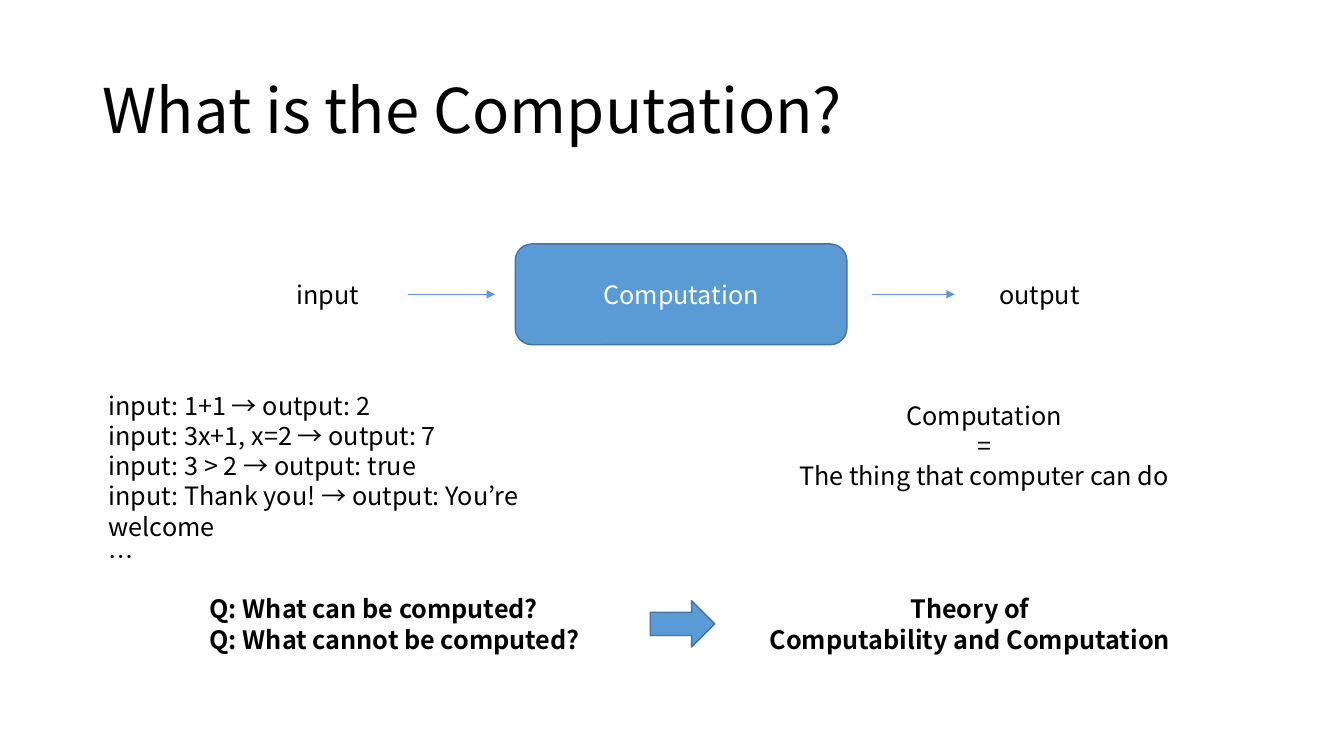
from lxml import etree
from pptx import Presentation
from pptx.dml.color import RGBColor
from pptx.enum.shapes import MSO_CONNECTOR, MSO_SHAPE
from pptx.enum.text import MSO_ANCHOR, PP_ALIGN
from pptx.oxml.ns import qn
from pptx.util import Inches, Pt

BLACK = RGBColor(0x00, 0x00, 0x00)
WHITE = RGBColor(0xFF, 0xFF, 0xFF)
BLUE = RGBColor(0x5B, 0x9B, 0xD5)
DARK_BLUE = RGBColor(0x43, 0x73, 0x9E)
FONT = "Noto Sans CJK KR"
LEFT, CENTER = PP_ALIGN.LEFT, PP_ALIGN.CENTER
TOP, MIDDLE = MSO_ANCHOR.TOP, MSO_ANCHOR.MIDDLE


def write(shape, lines, size=18, color=BLACK, bold=False, align=LEFT, anchor=TOP, spacing=1.0):
    frame = shape.text_frame
    frame.word_wrap = True
    frame.vertical_anchor = anchor
    for index, line in enumerate(lines):
        para = frame.paragraphs[0] if index == 0 else frame.add_paragraph()
        para.alignment = align
        para.line_spacing = spacing
        span = para.add_run()
        span.text = line
        span.font.name = FONT
        span.font.size = Pt(size)
        span.font.bold = bold
        span.font.color.rgb = color
        east_asian = etree.SubElement(span.font._element, qn("a:ea"))
        east_asian.set("typeface", FONT)


deck = Presentation()
deck.slide_width, deck.slide_height = Inches(13.33), Inches(7.5)
page = deck.slides.add_slide(deck.slide_layouts[5])

# Title
title = page.shapes.title
title.left, title.top = Inches(0.92), Inches(0.4)
title.width, title.height = Inches(11.5), Inches(1.45)
write(title, ["What is the Computation?"], size=44, anchor=MIDDLE, spacing=0.9)

# Computation box and block arrow
blocks = [
    (MSO_SHAPE.ROUNDED_RECTANGLE, 5.11, 2.42, 3.29, 1, "Computation"),
    (MSO_SHAPE.RIGHT_ARROW, 6.45, 5.96, 0.64, 0.46, None),
]
for kind, left, top, width, height, label in blocks:
    block = page.shapes.add_shape(kind, Inches(left), Inches(top), Inches(width), Inches(height))
    block.shadow.inherit = False
    block.fill.solid()
    block.fill.fore_color.rgb = BLUE
    block.line.color.rgb = DARK_BLUE
    block.line.width = Pt(1)
    if label:
        write(block, [label], color=WHITE, align=CENTER, anchor=MIDDLE)

# Arrows into and out of the computation
for start, end in [(4.05, 4.91), (8.65, 9.47)]:
    arrow = page.shapes.add_connector(
        MSO_CONNECTOR.STRAIGHT, Inches(start), Inches(2.92), Inches(end), Inches(2.92))
    arrow.line.color.rgb = BLUE
    arrow.line.width = Pt(0.5)
    etree.SubElement(arrow.line._get_or_add_ln(), qn("a:tailEnd")).set("type", "triangle")
    etree.SubElement(arrow._element.spPr, qn("a:effectLst"))

# Labels, examples, definition, questions and theory
texts = [
    (2.52, 2.72, 1.46, 0.4, CENTER, False, ["input"]),
    (9.62, 2.72, 1.38, 0.4, CENTER, False, ["output"]),
    (0.98, 3.82, 5.31, 1.62, LEFT, False, [
        "input: 1+1 → output: 2",
        "input: 3x+1, x=2 → output: 7",
        "input: 3 > 2 → output: true",
        "input: Thank you! → output: You’re welcome",
        "…",
    ]),
    (7.52, 3.92, 4.48, 1.01, CENTER, False,
     ["Computation", "=", "The thing that computer can do"]),
    (1.98, 5.84, 4.48, 0.71, LEFT, True,
     ["Q: What can be computed?", "Q: What cannot be computed?"]),
    (7.38, 5.84, 4.48, 0.71, CENTER, True,
     ["Theory of", "Computability and Computation"]),
]
for left, top, width, height, align, bold, lines in texts:
    box = page.shapes.add_textbox(Inches(left), Inches(top), Inches(width), Inches(height))
    write(box, lines, align=align, bold=bold)

deck.save("out.pptx")
